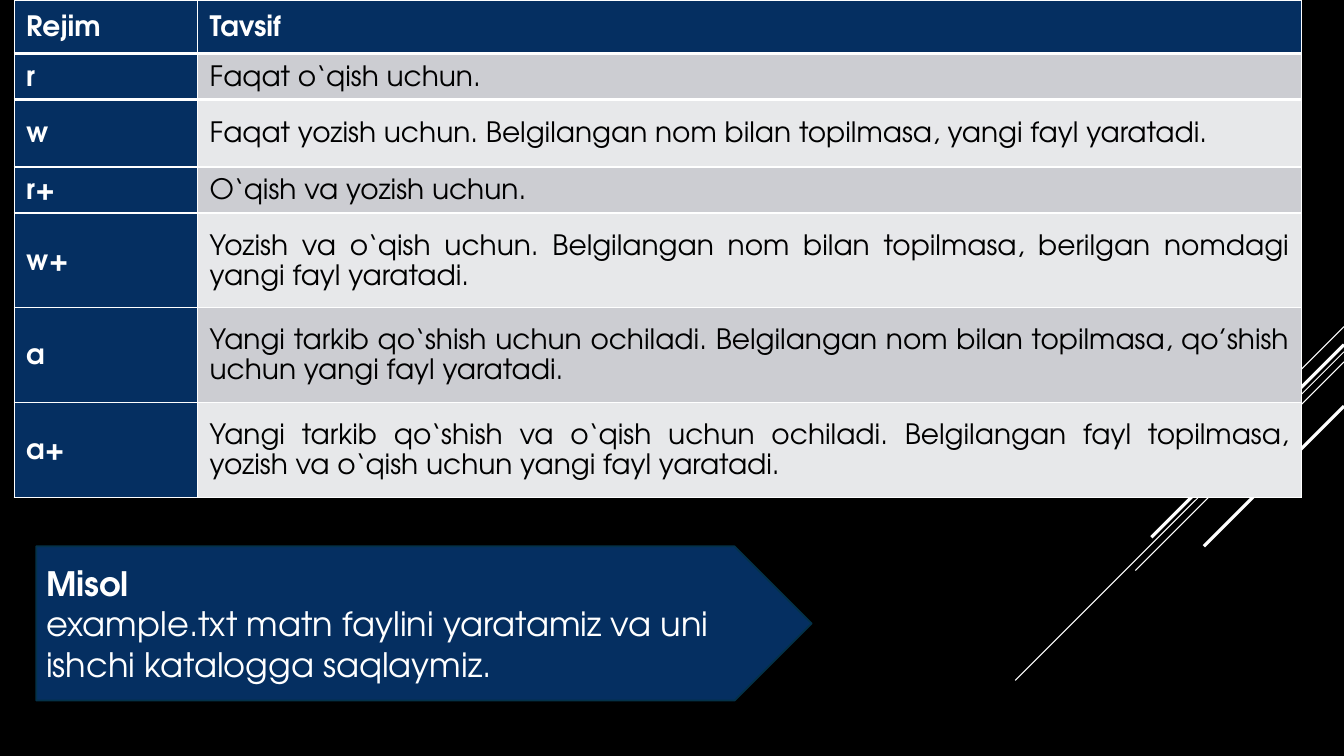
"""Build the slide on file opening modes."""
from dataclasses import dataclass

from lxml import etree
from pptx import Presentation
from pptx.dml.color import RGBColor
from pptx.enum.shapes import MSO_CONNECTOR, MSO_SHAPE
from pptx.enum.text import MSO_ANCHOR, PP_ALIGN
from pptx.oxml.ns import qn
from pptx.util import Inches, Pt

LINE = MSO_CONNECTOR.STRAIGHT
PLATE = MSO_SHAPE.PENTAGON
MIDDLE = MSO_ANCHOR.MIDDLE
LEFT = PP_ALIGN.LEFT
JUST = PP_ALIGN.JUSTIFY


@dataclass(frozen=True)
class Theme:
    """Colours, font and type sizes."""
    back: RGBColor = RGBColor(0, 0, 0)
    ink: RGBColor = RGBColor(0, 0, 0)
    white: RGBColor = RGBColor(255, 255, 255)
    navy: RGBColor = RGBColor.from_string("052F61")
    edge: RGBColor = RGBColor.from_string("043148")
    dark: RGBColor = RGBColor.from_string("CCCDD2")
    pale: RGBColor = RGBColor.from_string("E7E8EA")
    font: str = "TeX Gyre Adventor"
    cell: int = 20
    note: int = 24
    rule: int = 3


THEME = Theme()
WIDE, HIGH = 13.33, 7.5
MODES = [
    ("Rejim", "Tavsif", 0.53),
    ("r", "Faqat o‘qish uchun.", 0.45),
    ("w", "Faqat yozish uchun. Belgilangan nom bilan topilmasa, yangi fayl yaratadi.", 0.67),
    ("r+", "O‘qish va yozish uchun.", 0.45),
    ("w+", "Yozish va o‘qish uchun. Belgilangan nom bilan topilmasa, "
     "berilgan nomdagi yangi fayl yaratadi.", 0.94),
    ("a", "Yangi tarkib qo‘shish uchun ochiladi. Belgilangan nom bilan topilmasa, "
     "qo’shish uchun yangi fayl yaratadi.", 0.94),
    ("a+", "Yangi tarkib qo‘shish va o‘qish uchun ochiladi. Belgilangan fayl topilmasa, "
     "yozish va o‘qish uchun yangi fayl yaratadi.", 0.94),
]
COLS = (1.82, 10.95)
NOTE = [("Misol", True),
        ("example.txt matn faylini yaratamiz va uni ishchi katalogga saqlaymiz.", False)]
RAYS = [(3.24, 1, 0.75), (3.49, 3.26, 0.75), (3.59, 2.07, 0.75),
        (3.42, 1.91, 2.25), (4.03, 1.39, 2.25)]


def write(para, text, size, color, bold, align):
    """Add one styled run to a paragraph."""
    para.alignment = align
    run = para.add_run()
    run.text = text
    font = run.font
    font.name, font.size, font.bold = THEME.font, Pt(size), bold
    font.color.rgb = color


def draw_rays(slide):
    """Draw the slanted lines from the right edge."""
    for top, span, width in RAYS:
        ray = slide.shapes.add_connector(
            LINE, Inches(WIDE), Inches(top), Inches(WIDE - span), Inches(top + span))
        ray.line.color.rgb = THEME.white
        ray.line.width = Pt(width)
        etree.SubElement(ray._element.spPr, qn("a:effectLst"))


def rule_cell(cell, side):
    """Put a thick white rule on one side of a cell."""
    rule = etree.Element(qn("a:" + side), w=str(Pt(THEME.rule)))
    fill = etree.SubElement(rule, qn("a:solidFill"))
    etree.SubElement(fill, qn("a:srgbClr"), val=str(THEME.white))
    cell._tc.get_or_add_tcPr().insert(0, rule)


def draw_table(slide):
    """Draw the table of modes."""
    tall = sum(mode[2] for mode in MODES)
    table = slide.shapes.add_table(
        len(MODES), len(COLS), Inches(0.14), 0, Inches(sum(COLS)), Inches(tall)).table
    table.first_col = True
    for col, width in zip(table.columns, COLS):
        col.width = Inches(width)
    for row, (*texts, height) in enumerate(MODES):
        table.rows[row].height = Inches(height)
        for col, text in enumerate(texts):
            head = row == 0 or col == 0
            band = THEME.dark if row % 2 else THEME.pale
            cell = table.cell(row, col)
            cell.fill.solid()
            cell.fill.fore_color.rgb = THEME.navy if head else band
            cell.vertical_anchor = MIDDLE
            cell.margin_left = cell.margin_right = Inches(0.12)
            cell.margin_top = cell.margin_bottom = Inches(0.08)
            if row < 2:
                rule_cell(cell, "lnT" if row else "lnB")
            para = cell.text_frame.paragraphs[0]
            para.line_spacing = 1.15
            write(para, text, THEME.cell, THEME.white if head else THEME.ink, head, JUST)


def draw_note(slide):
    """Draw the arrow plate with the example."""
    plate = slide.shapes.add_shape(
        PLATE, Inches(0.36), Inches(5.42), Inches(7.69), Inches(1.53))
    plate.shadow.inherit = False
    plate.fill.solid()
    plate.fill.fore_color.rgb = THEME.navy
    plate.line.color.rgb = THEME.edge
    plate.line.width = Pt(1.25)
    frame = plate.text_frame
    frame.word_wrap = True
    frame.vertical_anchor = MIDDLE
    for row, (text, bold) in enumerate(NOTE):
        para = frame.add_paragraph() if row else frame.paragraphs[0]
        write(para, text, THEME.note, THEME.white, bold, LEFT)


def main():
    """Build and save the deck."""
    deck = Presentation()
    deck.slide_width, deck.slide_height = Inches(WIDE), Inches(HIGH)
    slide = deck.slides.add_slide(deck.slide_layouts[6])
    fill = slide.background.fill
    fill.solid()
    fill.fore_color.rgb = THEME.back
    draw_rays(slide)
    draw_table(slide)
    draw_note(slide)
    deck.save("out.pptx")


if __name__ == "__main__":
    main()
